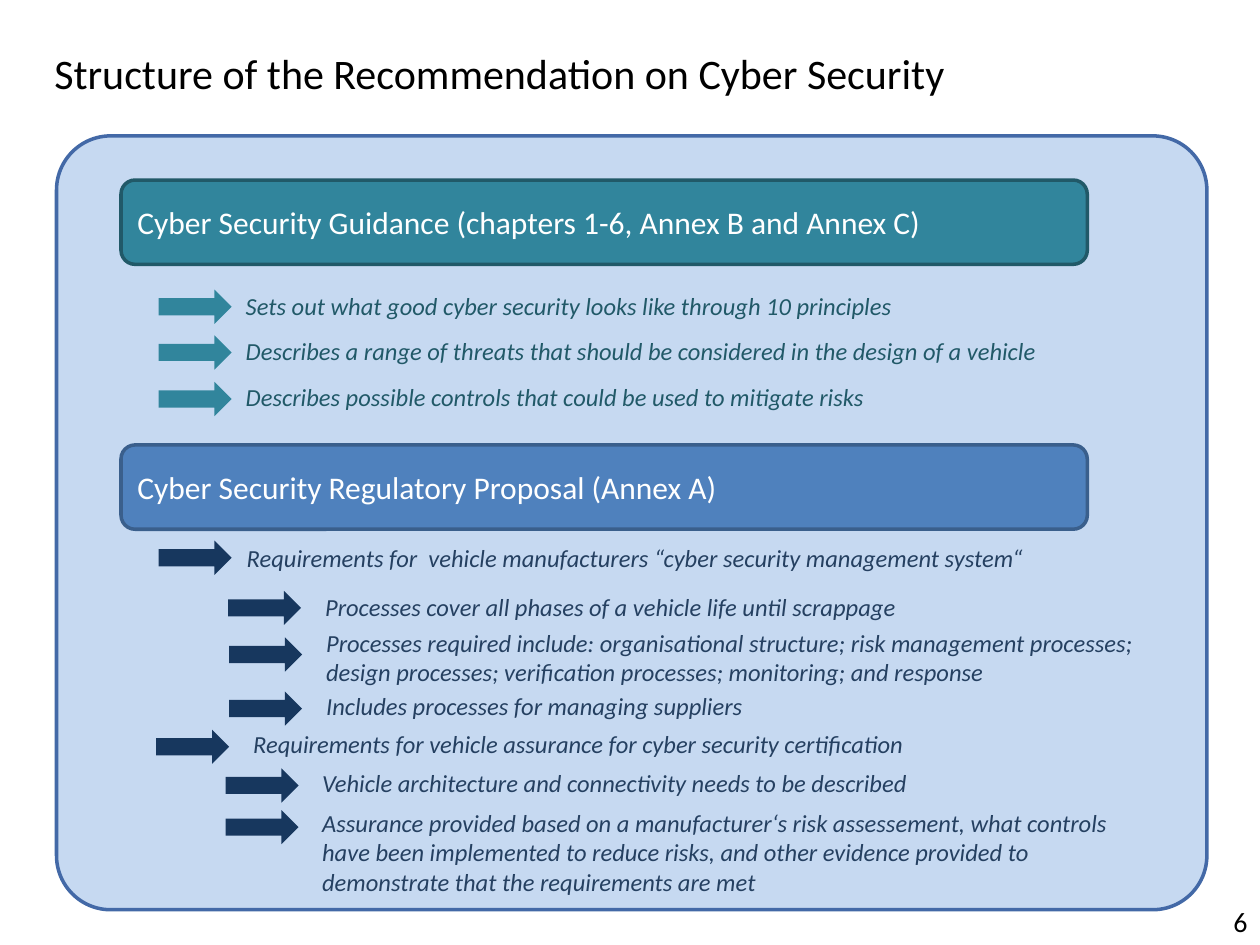
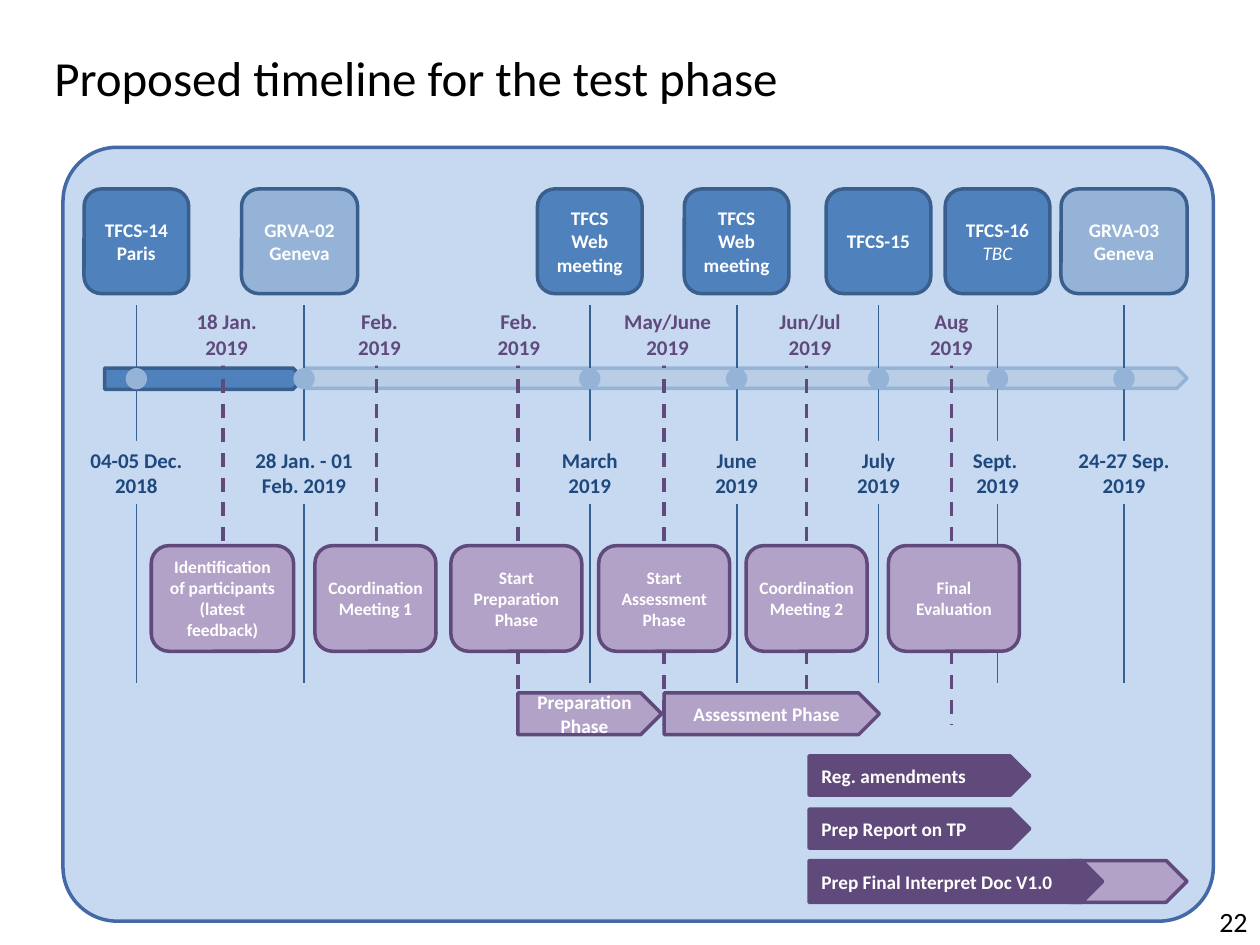
"""Build two slides on a cyber security recommendation and its test phase."""
from lxml import etree
from pptx import Presentation
from pptx import util as u
from pptx.dml.color import RGBColor
from pptx.enum import dml, shapes, text
from pptx.oxml import ns

FONT = "Calibri"
BLACK = RGBColor(0x00, 0x00, 0x00)
WHITE = RGBColor(0xFF, 0xFF, 0xFF)
PANEL = RGBColor(0xC6, 0xD9, 0xF1)
PANEL_EDGE = RGBColor(0x43, 0x69, 0xA7)
BLUE = RGBColor(0x4F, 0x81, 0xBD)
BLUE_EDGE = RGBColor(0x3A, 0x5F, 0x8C)
BLUE_LINE = RGBColor(0x37, 0x60, 0x92)
SOFT_BLUE = RGBColor(0x95, 0xB3, 0xD7)
PALE_BLUE = RGBColor(0xB9, 0xCD, 0xE5)
DATE_BLUE = RGBColor(0x1F, 0x49, 0x7D)
NAVY = RGBColor(0x17, 0x37, 0x5E)
NAVY_TEXT = RGBColor(0x25, 0x40, 0x61)
TEAL = RGBColor(0x31, 0x85, 0x9C)
TEAL_DARK = RGBColor(0x21, 0x59, 0x68)
PURPLE = RGBColor(0x60, 0x4A, 0x7B)
LILAC = RGBColor(0xB3, 0xA2, 0xC7)

ROUNDED = shapes.MSO_SHAPE.ROUNDED_RECTANGLE
PENTAGON = shapes.MSO_SHAPE.PENTAGON
LEFT = text.PP_ALIGN.LEFT
CENTER = text.PP_ALIGN.CENTER
RIGHT = text.PP_ALIGN.RIGHT

ARROW_WIDTH, ARROW_HEIGHT = 1.47, 0.69
MILESTONE_TOP, MILESTONE_SIZE = 3.81, 2.11
AXIS_TOP, DOT_SIZE = 7.42, 0.43
LINE_TOP, LINE_BOTTOM, PHASE_LINE_BOTTOM = 6.15, 13.77, 14.61
LABEL_TOP, DATE_TOP, LABEL_HEIGHT = 6.1, 8.89, 1.27
PHASE_TOP, PHASE_HEIGHT = 11, 2.13

# text, arrow left, arrow top, level, indent, space before
GUIDANCE = [
    ("Sets out what good cyber security looks like through 10 principles", 3.2, 5.84, 0, 0, 0),
    ("Describes a range of threats that should be considered in the design of a vehicle",
     3.2, 6.76, 0, 0, 9),
    ("Describes possible controls that could be used to mitigate risks", 3.2, 7.7, 0, 0, 9.5),
]
PROPOSAL = [
    ("Requirements for  vehicle manufacturers “cyber security management system“",
     3.2, 10.9, 0, 0, 0),
    ("Processes cover all phases of a vehicle life until scrappage", 4.6, 11.91, 1, 1.58, 11),
    ("Processes required include: organisational structure; risk management processes; "
     "design processes; verification processes; monitoring; and response",
     4.62, 12.85, 1, 1.6, 3.8),
    ("Includes processes for managing suppliers", 4.62, 13.94, 1, 1.6, 2.5),
    ("Requirements for vehicle assurance for cyber security certification",
     3.15, 14.71, 0, 0.13, 5.2),
    ("Vehicle architecture and connectivity needs to be described", 4.55, 15.49, 1, 1.52, 5.2),
    ("Assurance provided based on a manufacturer‘s risk assessement, what controls have been "
     "implemented to reduce risks, and other evidence provided to demonstrate that the "
     "requirements are met", 4.55, 16.33, 1, 1.52, 5.9),
]
# line x, box centre, box width, fill, name, date, date width
MILESTONES = [
    (2.75, 2.75, 2.11, BLUE, "TFCS-14\nParis", "04-05 Dec. 2018", 2.54),
    (6.13, 6.04, 2.34, SOFT_BLUE, "GRVA-02\nGeneva", "28 Jan. - 01 Feb. 2019", 2.97),
    (11.89, 11.89, 2.11, BLUE, "TFCS\nWeb\nmeeting", "March 2019", 2.54),
    (14.85, 14.85, 2.11, BLUE, "TFCS\nWeb\nmeeting", "June\n2019", 2.54),
    (17.71, 17.71, 2.11, BLUE, "TFCS-15", "July\n2019", 2.54),
    (20.11, 20.11, 2.11, BLUE, "TFCS-16\nTBC", "Sept. \n2019", 2.54),
    (22.66, 22.66, 2.54, SOFT_BLUE, "GRVA-03\nGeneva", "24-27 Sep.\n2019", 2.54),
]
# line x, line end, box left, box width, side inset, name, label centre, label width, label
PHASES = [
    (4.5, 13, 3.05, 2.87, 0.25, "Identification of participants\n(latest feedback)",
     4.57, 2.54, "18 Jan.\n2019"),
    (7.59, 13, 6.35, 2.44, 0, "Coordination Meeting 1", 7.65, 2.54, "Feb.\n2019"),
    (10.44, PHASE_LINE_BOTTOM, 9.09, 2.64, 0.25, "Start Preparation Phase",
     10.46, 2.54, "Feb.\n2019"),
    (13.39, PHASE_LINE_BOTTOM, 12.07, 2.64, 0, "Start Assessment Phase",
     13.46, 2.54, "May/June\n2019"),
    (16.26, PHASE_LINE_BOTTOM, 15.04, 2.44, 0, "Coordination Meeting 2",
     16.33, 2.54, "Jun/Jul\n2019"),
    (19.18, PHASE_LINE_BOTTOM, 17.91, 2.64, 0.25, "Final Evaluation",
     19.18, 1.63, "Aug\n2019"),
]
# left, top, width, height, fill, alignment, name
WORK_BARS = [
    (10.44, 13.97, 2.9, 0.84, LILAC, CENTER, "Preparation Phase"),
    (13.39, 13.97, 4.34, 0.84, LILAC, CENTER, "Assessment Phase"),
    (16.31, 15.24, 4.45, 0.79, PURPLE, LEFT, "Reg. amendments"),
    (16.31, 16.31, 4.45, 0.79, PURPLE, LEFT, "Prep Report on TP"),
    (21.59, 17.35, 2.34, 0.84, LILAC, LEFT, ""),
    (16.31, 17.35, 5.92, 0.84, PURPLE, LEFT, "Prep Final Interpret Doc V1.0"),
]


def place(shape, left, top, width, height):
    """Move and size a shape, in centimetres."""
    shape.left, shape.top = u.Cm(left), u.Cm(top)
    shape.width, shape.height = u.Cm(width), u.Cm(height)


def add_run(paragraph, words, size, color, bold=False, italic=False):
    """Add one formatted run."""
    run = paragraph.add_run()
    run.text = words
    font = run.font
    font.name, font.size, font.color.rgb = FONT, u.Pt(size), color
    font.bold, font.italic = bold, italic
    return run


def write_lines(shape, words, size, color, align=CENTER, bold=True):
    """Write lines joined by line breaks and return their runs."""
    paragraph = shape.text_frame.paragraphs[0]
    paragraph.alignment = align
    runs = []
    for line in words.split("\n"):
        if runs:
            paragraph.add_line_break()
        runs.append(add_run(paragraph, line, size, color, bold))
    return runs


def add_block(slide, kind, box, fill, edge=None):
    """Add a flat filled shape with an optional outline."""
    shape = slide.shapes.add_shape(kind, *(u.Cm(value) for value in box))
    shape.shadow.inherit = False
    shape.fill.solid()
    shape.fill.fore_color.rgb = fill
    if edge is None:
        shape.line.fill.background()
    else:
        shape.line.color.rgb = edge
        shape.line.width = u.Pt(2)
    shape.text_frame.word_wrap = True
    shape.text_frame.vertical_anchor = text.MSO_ANCHOR.MIDDLE
    return shape


def add_vertical(slide, x, bottom, color, width, dashed=False):
    """Add a vertical timeline line."""
    connector = slide.shapes.add_connector(
        shapes.MSO_CONNECTOR.STRAIGHT, u.Cm(x), u.Cm(LINE_TOP), u.Cm(x), u.Cm(bottom))
    connector.line.color.rgb = color
    connector.line.width = u.Pt(width)
    if dashed:
        connector.line.dash_style = dml.MSO_LINE.DASH
    etree.SubElement(connector.element.spPr, ns.qn("a:effectLst"))


def start_slide(presentation, layout, title, title_size, number, left, top):
    """Add a slide with title, page number and background panel."""
    slide = presentation.slides.add_slide(presentation.slide_layouts[layout])
    heading = slide.shapes.title
    place(heading, 0.84, 0.84, 23.29, 1.45)
    heading.text_frame.vertical_anchor = text.MSO_ANCHOR.TOP
    heading.text_frame.auto_size = text.MSO_AUTO_SIZE.NONE
    write_lines(heading, title, title_size, BLACK, LEFT, bold=False)
    panel = add_block(slide, ROUNDED, (left, top, 23.19, 15.6), PANEL, PANEL_EDGE)
    panel.adjustments[0] = 0.07
    panel.element.getparent().insert(2, panel.element)
    page = slide.shapes.add_textbox(u.Cm(21.16), u.Cm(18.11), u.Cm(4.24), u.Cm(0.94))
    page.text_frame.word_wrap = True
    write_lines(page, number, 16, BLACK, RIGHT, bold=False)
    return slide


def add_banner(slide, top, words, fill, edge):
    """Add a section banner."""
    banner = add_block(slide, ROUNDED, (2.44, top, 19.48, 1.7), fill, edge)
    write_lines(banner, words, 18, WHITE, LEFT, bold=False)


def fill_arrow_list(slide, body, box, items, color, arrow_color):
    """Fill a body placeholder and set an arrow beside each item."""
    place(body, *box)
    frame = body.text_frame
    frame.auto_size = text.MSO_AUTO_SIZE.NONE
    for index, (words, left, top, level, indent, before) in enumerate(items):
        paragraph = frame.add_paragraph() if index else frame.paragraphs[0]
        paragraph.level = level
        paragraph.space_before = u.Pt(before)
        properties = paragraph._p.get_or_add_pPr()
        properties.set("marL", str(u.Cm(indent)))
        properties.set("indent", "0")
        etree.SubElement(properties, ns.qn("a:buNone"))
        add_run(paragraph, words, 14, color, italic=True)
        add_block(slide, shapes.MSO_SHAPE.RIGHT_ARROW,
                  (left, top, ARROW_WIDTH, ARROW_HEIGHT), arrow_color)


def add_label(slide, center, top, width, words, color):
    """Add a date label that masks the line behind it."""
    label = add_block(slide, ROUNDED, (center - width / 2, top, width, LABEL_HEIGHT), PANEL)
    write_lines(label, words, 12, color)


def add_milestone(slide, x, center, width, fill, name, date, date_width):
    """Add a meeting with its line, dot and date."""
    add_vertical(slide, x, LINE_BOTTOM, BLUE_LINE, 1)
    add_block(slide, shapes.MSO_SHAPE.OVAL,
              (x - DOT_SIZE / 2, AXIS_TOP, DOT_SIZE, DOT_SIZE), SOFT_BLUE)
    meeting = add_block(slide, ROUNDED, (center - width / 2, MILESTONE_TOP, width, MILESTONE_SIZE),
                        fill, BLUE_EDGE)
    runs = write_lines(meeting, name, 11, WHITE)
    if runs[-1].text == "TBC":
        runs[-1].font.bold, runs[-1].font.italic = False, True
    add_label(slide, x, DATE_TOP, date_width, date, DATE_BLUE)


def add_phase(slide, x, bottom, left, width, inset, name, center, label_width, label):
    """Add a test phase step with its dashed line and date."""
    add_vertical(slide, x, bottom, PURPLE, 2, dashed=True)
    step = add_block(slide, ROUNDED, (left, PHASE_TOP, width, PHASE_HEIGHT), LILAC, PURPLE)
    step.text_frame.margin_left = step.text_frame.margin_right = u.Cm(inset)
    write_lines(step, name, 10, WHITE)
    add_label(slide, center, LABEL_TOP, label_width, label, PURPLE)


def build_structure(presentation):
    """Build the slide on the structure of the recommendation."""
    slide = start_slide(presentation, 3, "Structure of the Recommendation on Cyber Security",
                        24, "6", 1.14, 2.74)
    guidance, proposal = list(slide.placeholders)[1:3]
    add_banner(slide, 3.63, "Cyber Security Guidance (chapters 1-6, Annex B and Annex C)",
               TEAL, TEAL_DARK)
    fill_arrow_list(slide, guidance, (4.7, 5.74, 17.75, 2.72), GUIDANCE, TEAL_DARK, TEAL)
    add_banner(slide, 8.97, "Cyber Security Regulatory Proposal (Annex A)", BLUE, BLUE_EDGE)
    fill_arrow_list(slide, proposal, (4.72, 10.82, 18.67, 7.47), PROPOSAL, NAVY_TEXT, NAVY)


def build_timeline(presentation):
    """Build the slide on the test phase timeline."""
    slide = start_slide(presentation, 5, "Proposed timeline for the test phase",
                        28, "22", 1.27, 2.97)
    add_block(slide, PENTAGON, (6.15, AXIS_TOP, 17.78, 0.41), PALE_BLUE, SOFT_BLUE)
    add_block(slide, PENTAGON, (2.11, AXIS_TOP, 4.01, 0.43), BLUE, BLUE_EDGE)
    for milestone in MILESTONES:
        add_milestone(slide, *milestone)
    for phase in PHASES:
        add_phase(slide, *phase)
    for *box, fill, align, name in WORK_BARS:
        bar = add_block(slide, PENTAGON, box, fill, PURPLE)
        if name:
            write_lines(bar, name, 11, WHITE, align)


def main():
    """Build and save the presentation."""
    presentation = Presentation()
    presentation.slide_width, presentation.slide_height = u.Cm(25.4), u.Cm(19.05)
    build_structure(presentation)
    build_timeline(presentation)
    presentation.save("out.pptx")


if __name__ == "__main__":
    main()
